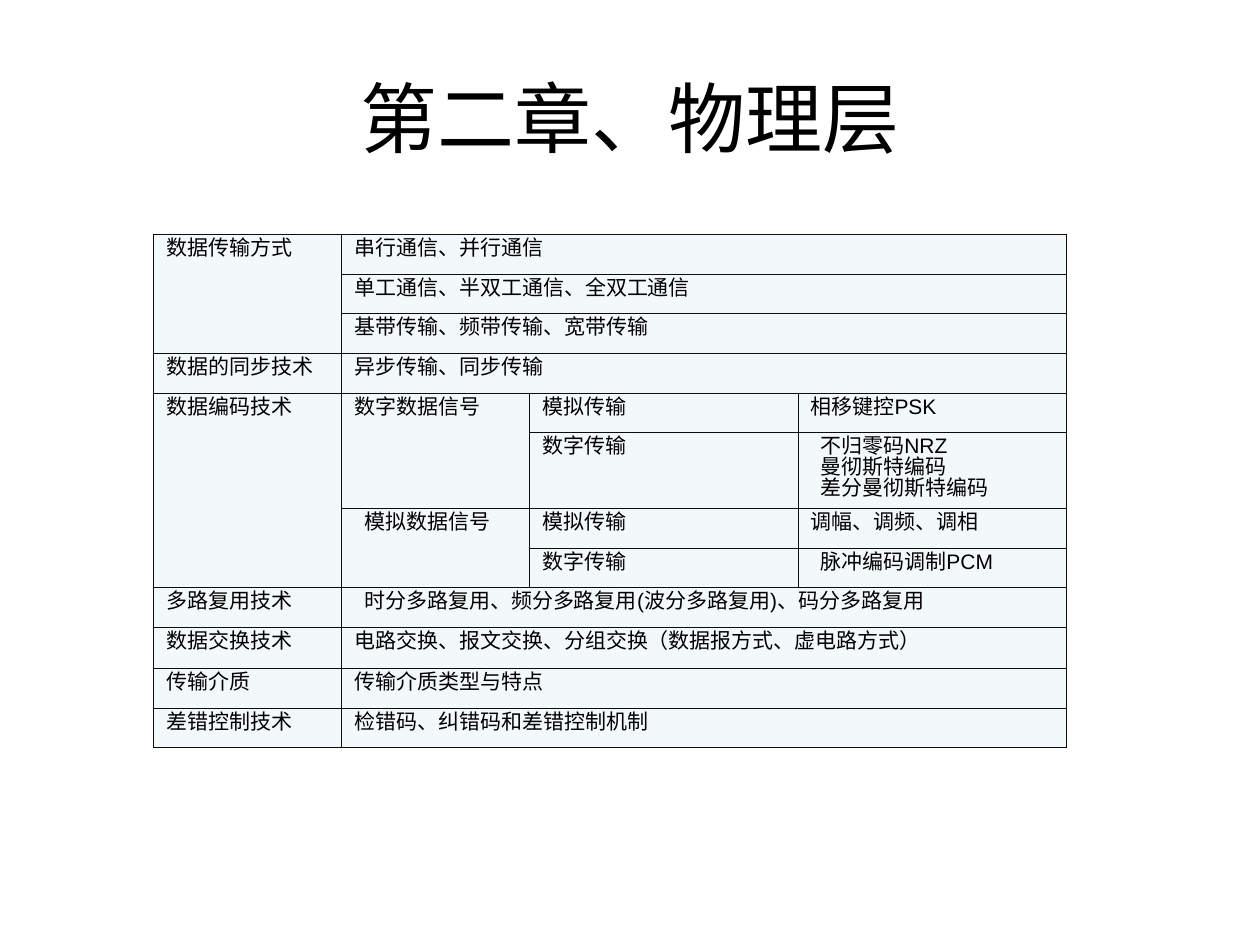
from lxml.etree import SubElement
from pptx import Presentation
from pptx.dml.color import RGBColor
from pptx.enum.text import MSO_ANCHOR, PP_ALIGN
from pptx.oxml.ns import qn
from pptx.util import Pt

BLACK = RGBColor(0x00, 0x00, 0x00)
BORDER = RGBColor(0x0D, 0x0D, 0x0D)
CELL_FILL = RGBColor(0xF3, 0xF9, 0xFA)

TITLE_FORMAT = {"name": "Arial", "size": Pt(44)}
CELL_FORMAT = {"name": "Arial", "size": Pt(12)}
CELL_PARAGRAPH = {"alignment": PP_ALIGN.JUSTIFY, "line_spacing": Pt(12)}

COLUMN_WIDTHS = [107.5, 107.5, 153.2, 153.2]
ROW_HEIGHTS = [22.7, 22.7, 22.7, 22.7, 22.6, 43.2, 22.7, 22.7, 22.7, 23.4, 22.7, 22.7]
INDENT = 5.65

# row, column, row span, column span, indent, text
CELLS = [
    (0, 0, 3, 1, 0, "数据传输方式"),
    (0, 1, 1, 3, 0, "串行通信、并行通信"),
    (1, 1, 1, 3, 0, "单工通信、半双工通信、全双工通信"),
    (2, 1, 1, 3, 0, "基带传输、频带传输、宽带传输"),
    (3, 0, 1, 1, 0, "数据的同步技术"),
    (3, 1, 1, 3, 0, "异步传输、同步传输"),
    (4, 0, 4, 1, 0, "数据编码技术"),
    (4, 1, 2, 1, 0, "数字数据信号"),
    (4, 2, 1, 1, 0, "模拟传输"),
    (4, 3, 1, 1, 0, "相移键控PSK"),
    (5, 2, 1, 1, 0, "数字传输"),
    (5, 3, 1, 1, INDENT, "不归零码NRZ\n曼彻斯特编码\n差分曼彻斯特编码"),
    (6, 1, 2, 1, INDENT, "模拟数据信号"),
    (6, 2, 1, 1, 0, "模拟传输"),
    (6, 3, 1, 1, 0, "调幅、调频、调相"),
    (7, 2, 1, 1, 0, "数字传输"),
    (7, 3, 1, 1, INDENT, "脉冲编码调制PCM"),
    (8, 0, 1, 1, 0, "多路复用技术"),
    (8, 1, 1, 3, INDENT, "时分多路复用、频分多路复用(波分多路复用)、码分多路复用"),
    (9, 0, 1, 1, 0, "数据交换技术"),
    (9, 1, 1, 3, 0, "电路交换、报文交换、分组交换（数据报方式、虚电路方式）"),
    (10, 0, 1, 1, 0, "传输介质"),
    (10, 1, 1, 3, 0, "传输介质类型与特点"),
    (11, 0, 1, 1, 0, "差错控制技术"),
    (11, 1, 1, 3, 0, "检错码、纠错码和差错控制机制"),
]


def set_attributes(target, values):
    for name, value in values.items():
        setattr(target, name, value)


def format_font(font, values):
    set_attributes(font, values)
    font.color.rgb = BLACK


def add_title(slide, text):
    title = slide.shapes.title
    set_attributes(title, {"left": Pt(36), "top": Pt(21.6), "width": Pt(648), "height": Pt(90)})
    title.text_frame.text = text
    title.text_frame.vertical_anchor = MSO_ANCHOR.MIDDLE
    paragraph = title.text_frame.paragraphs[0]
    paragraph.alignment = PP_ALIGN.CENTER
    format_font(paragraph.runs[0].font, TITLE_FORMAT)


def style_cell(cell):
    properties = cell._tc.get_or_add_tcPr()
    for side in ("a:lnL", "a:lnR", "a:lnT", "a:lnB"):
        line = SubElement(properties, qn(side), w=str(Pt(0.45)))
        fill = SubElement(line, qn("a:solidFill"))
        SubElement(fill, qn("a:srgbClr"), val=str(BORDER))
    cell.fill.solid()
    cell.fill.fore_color.rgb = CELL_FILL


def fill_cell(cell, text, indent):
    cell.text_frame.text = text
    for paragraph in cell.text_frame.paragraphs:
        set_attributes(paragraph, CELL_PARAGRAPH)
        if indent:
            paragraph._p.get_or_add_pPr().set("marL", str(Pt(indent)))
        format_font(paragraph.runs[0].font, CELL_FORMAT)


def add_topic_table(slide):
    frame = slide.shapes.add_table(
        len(ROW_HEIGHTS), len(COLUMN_WIDTHS), Pt(87.8), Pt(133.9),
        Pt(sum(COLUMN_WIDTHS)), Pt(sum(ROW_HEIGHTS)))
    table = frame.table
    set_attributes(table, {"first_row": False, "horz_banding": False})
    for column, width in zip(table.columns, COLUMN_WIDTHS):
        column.width = Pt(width)
    for row, height in zip(table.rows, ROW_HEIGHTS):
        row.height = Pt(height)
    for cell in table.iter_cells():
        style_cell(cell)
    for row, column, row_span, column_span, indent, text in CELLS:
        cell = table.cell(row, column)
        if row_span * column_span > 1:
            cell.merge(table.cell(row + row_span - 1, column + column_span - 1))
        fill_cell(cell, text, indent)


def main():
    presentation = Presentation()
    set_attributes(presentation, {"slide_width": Pt(720), "slide_height": Pt(540)})
    slide = presentation.slides.add_slide(presentation.slide_layouts[5])
    add_title(slide, "第二章、物理层")
    add_topic_table(slide)
    presentation.save("out.pptx")


if __name__ == "__main__":
    main()
